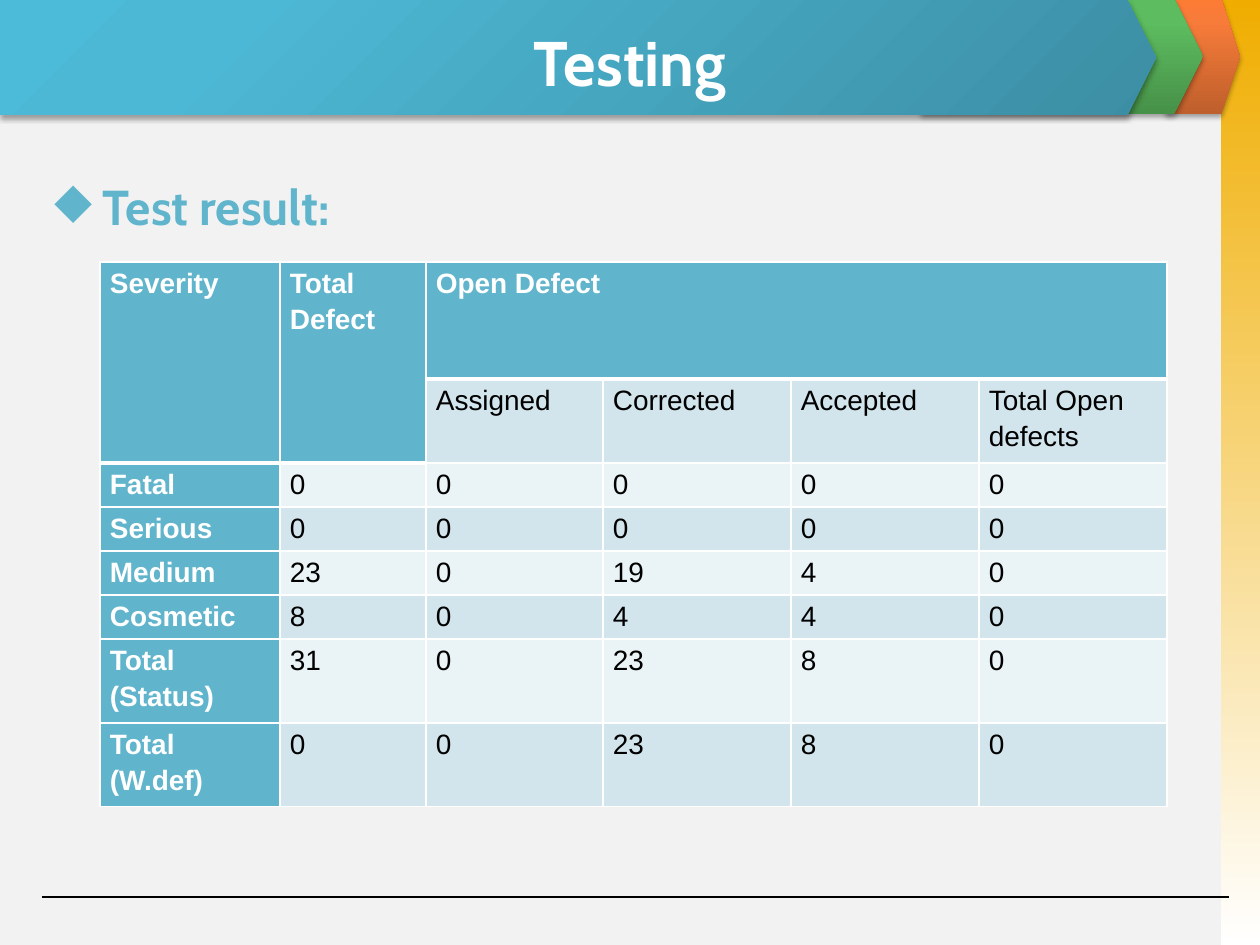
import lxml.etree
import pptx
import pptx.dml.color
import pptx.enum.shapes
import pptx.enum.text
import pptx.oxml
import pptx.oxml.ns
import pptx.util

PX = 914400 / 126
NS = pptx.oxml.ns.nsdecls("a")
COLORS = {
    "page": "F2F2F2", "white": "FFFFFF", "black": "000000", "gold": "F0AD00",
    "teal": "60B5CC", "band": "D2E5EC", "pale": "EAF3F6",
}
SHAPES = pptx.enum.shapes.MSO_SHAPE
ALIGN = pptx.enum.text.PP_ALIGN


def add_gradient(kind, box, stops, direction, shadow=True):
    shape = slide.shapes.add_shape(kind, *[round(v * PX) for v in box])
    shape.line.fill.background()
    shape.shadow.inherit = False
    shape.fill.background()
    stop_xml = "".join(
        f'<a:gs pos="{pos * 1000}"><a:srgbClr val="{color}"/></a:gs>' for pos, color in stops)
    properties = shape.fill._xPr
    properties.replace(
        properties.find(pptx.oxml.ns.qn("a:noFill")),
        pptx.oxml.parse_xml(
            f'<a:gradFill {NS} rotWithShape="1"><a:gsLst>{stop_xml}</a:gsLst>{direction}</a:gradFill>'))
    if shadow:
        properties.find(pptx.oxml.ns.qn("a:effectLst")).append(pptx.oxml.parse_xml(
            f'<a:outerShdw {NS} blurRad="39370" dist="22860" dir="5400000" rotWithShape="0">'
            f'<a:srgbClr val="{COLORS["black"]}"><a:alpha val="35000"/></a:srgbClr></a:outerShdw>'))
    return shape


def add_run(paragraph, text, size, font, color, bold):
    run = paragraph.add_run()
    run.text = text
    run.font.size = pptx.util.Pt(size)
    run.font.name = font
    run.font.bold = bold
    run.font.color.rgb = pptx.dml.color.RGBColor.from_string(COLORS[color])


deck = pptx.Presentation()
deck.slide_width = round(1260 * PX)
deck.slide_height = round(945 * PX)
slide = deck.slides.add_slide(deck.slide_layouts[6])
slide.background.fill.solid()
slide.background.fill.fore_color.rgb = pptx.dml.color.RGBColor.from_string(COLORS["page"])

add_gradient(SHAPES.RECTANGLE, (1221, 0, 39, 945), [(0, COLORS["gold"]), (100, COLORS["white"])],
             '<a:lin ang="5400000" scaled="0"/>', shadow=False)

upward = '<a:lin ang="16200000" scaled="0"/>'
from_corner = '<a:path path="circle"><a:fillToRect l="100000" t="100000"/></a:path>'
arrows = [
    ((1166, -1, 74, 115), ("BE5F2C", "F77B39", "FC7B35"), upward),
    ((921, -1, 282, 115), ("479149", "5DBC5F", "5BBF5E"), upward),
    ((0, 0, 1156, 115), ("3C8EA4", "4DB8D5", "4BBBD9"), from_corner),
]
for box, shades, direction in arrows:
    arrow = add_gradient(SHAPES.PENTAGON, box, list(zip((0, 80, 100), shades)), direction)
    arrow.adjustments[0] = 0.25

footer_rule = slide.shapes.add_connector(
    pptx.enum.shapes.MSO_CONNECTOR.STRAIGHT, *[round(v * PX) for v in (42, 897, 1229, 897)])
footer_rule.line.width = pptx.util.Pt(0.75)
footer_rule.line.color.rgb = pptx.dml.color.RGBColor.from_string(COLORS["black"])
lxml.etree.SubElement(footer_rule._element.spPr, pptx.oxml.ns.qn("a:effectLst"))

title = slide.shapes.add_textbox(*[round(v * PX) for v in (63, 18, 1134, 87)]).text_frame
title.word_wrap = True
title.vertical_anchor = pptx.enum.text.MSO_ANCHOR.MIDDLE
title.paragraphs[0].alignment = ALIGN.CENTER
add_run(title.paragraphs[0], "Testing", 36, "Cabin", "white", True)

column_widths = [180, 146, 177, 188, 188, 188]
row_heights = [117, 84, 44, 44, 44, 44, 84, 84]
results = [
    ["Severity", "Total Defect", "Open Defect", "", "", ""],
    ["", "", "Assigned", "Corrected", "Accepted", "Total Open defects"],
    ["Fatal", "0", "0", "0", "0", "0"],
    ["Serious", "0", "0", "0", "0", "0"],
    ["Medium", "23", "0", "19", "4", "0"],
    ["Cosmetic", "8", "0", "4", "4", "0"],
    ["Total (Status)", "31", "0", "23", "8", "0"],
    ["Total (W.def)", "0", "0", "23", "8", "0"],
]
frame = [100, 262, sum(column_widths), sum(row_heights)]
defects = slide.shapes.add_table(
    len(results), len(column_widths), *[round(v * PX) for v in frame]).table
for column, width in zip(defects.columns, column_widths):
    column.width = round(width * PX)
for row, height in zip(defects.rows, row_heights):
    row.height = round(height * PX)
defects.cell(0, 0).merge(defects.cell(1, 0))
defects.cell(0, 1).merge(defects.cell(1, 1))
defects.cell(0, 2).merge(defects.cell(0, 5))

for r, values in enumerate(results):
    for c, value in enumerate(values):
        cell = defects.cell(r, c)
        heading = r == 0 or c == 0 or (r == 1 and c == 1)
        fill = "teal" if heading else "band" if r % 2 else "pale"
        cell.fill.solid()
        cell.fill.fore_color.rgb = pptx.dml.color.RGBColor.from_string(COLORS[fill])
        cell.margin_left = cell.margin_right = round(10 * PX)
        cell.margin_top = cell.margin_bottom = round(2 * PX)
        header_end = 1 if c < 2 else 0
        widths = {"lnL": 1, "lnR": 1, "lnT": 3 if r == header_end + 1 else 1,
                  "lnB": 3 if r <= header_end else 1}
        for position, (edge, width) in enumerate(widths.items()):
            cell._tc.get_or_add_tcPr().insert(position, pptx.oxml.parse_xml(
                f'<a:{edge} {NS} w="{width * 12700}"><a:solidFill>'
                f'<a:srgbClr val="{COLORS["white"]}"/></a:solidFill></a:{edge}>'))
        if value:
            paragraph = cell.text_frame.paragraphs[0]
            paragraph.line_spacing = 1.15
            if r > 1:
                paragraph.alignment = ALIGN.JUSTIFY
            add_run(paragraph, value, 16, "Arial", "white" if heading else "black", heading)

subtitle = slide.shapes.add_textbox(*[round(v * PX) for v in (42, 170, 1134, 67)]).text_frame
subtitle.word_wrap = True
bullet = subtitle.paragraphs[0]._p.get_or_add_pPr()
bullet.set("marL", str(round(48 * PX)))
bullet.set("indent", str(round(-48 * PX)))
bullet.append(pptx.oxml.parse_xml(
    f'<a:buClr {NS}><a:srgbClr val="{COLORS["teal"]}"/></a:buClr>'))
bullet.append(pptx.oxml.parse_xml(f'<a:buChar {NS} char="◆"/>'))
add_run(subtitle.paragraphs[0], "Test result:", 28, "Cabin", "teal", True)

deck.save("out.pptx")
